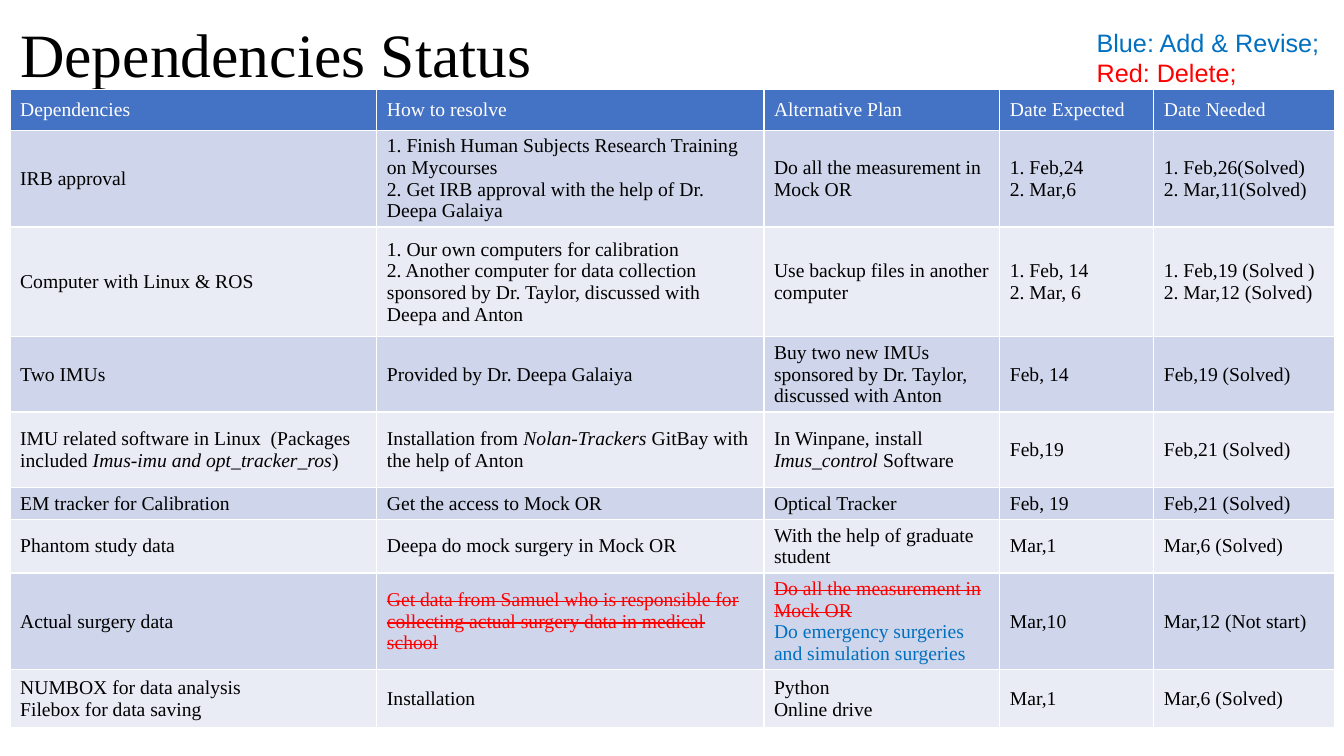
import pptx
import pptx.dml.color
import pptx.enum.text
import pptx.util

Pt = pptx.util.Pt
ANCHOR_MIDDLE = pptx.enum.text.MSO_ANCHOR.MIDDLE

# Content: a cell is a list of paragraphs, a paragraph a list of (text, style) runs
SERIF, SANS = "Times New Roman", "Arial"
BLACK, WHITE, RED, BLUE = "000000", "FFFFFF", "FF0000", "0070C0"
HEADER_FILL, BAND_FILLS = "4472C4", ("CFD5EA", "E9EBF5")

STYLES = {
    "plain": {"color": BLACK},
    "header": {"color": WHITE},
    "italic": {"color": BLACK, "italic": True},
    "deleted": {"color": RED, "strike": True},
    "added": {"color": BLUE},
}


def lines(*texts, style="plain"):
    return [[(text, style)] for text in texts]


TITLE = "Dependencies Status"
LEGEND = [("Blue: Add & Revise;", BLUE), ("Red: Delete;", RED)]
HEADINGS = ["Dependencies", "How to resolve", "Alternative Plan",
            "Date Expected", "Date Needed"]
DEPENDENCIES = [
    [lines("IRB approval"),
     lines("1. Finish Human Subjects Research Training on Mycourses",
           "2. Get IRB approval with the help of Dr. Deepa Galaiya"),
     lines("Do all the measurement in Mock OR"),
     lines("1. Feb,24", "2. Mar,6"),
     lines("1. Feb,26(Solved)", "2. Mar,11(Solved)")],
    [lines("Computer with Linux & ROS"),
     lines("1. Our own computers for calibration",
           "2. Another computer for data collection sponsored by Dr. Taylor, "
           "discussed with Deepa and Anton"),
     lines("Use backup files in another computer"),
     lines("1. Feb, 14", "2. Mar, 6"),
     lines("1. Feb,19 (Solved )", "2. Mar,12 (Solved)")],
    [lines("Two IMUs"),
     lines("Provided by Dr. Deepa Galaiya"),
     lines("Buy two new IMUs sponsored by Dr. Taylor, discussed with Anton"),
     lines("Feb, 14"),
     lines("Feb,19 (Solved)")],
    [[[("IMU related software in Linux  (Packages included ", "plain"),
       ("Imus-imu and opt_tracker_ros", "italic"), (")", "plain")]],
     [[("Installation from ", "plain"), ("Nolan-Trackers", "italic"),
       (" GitBay with the help of Anton", "plain")]],
     [[("In Winpane, install ", "plain"), ("Imus_control ", "italic"),
       ("Software", "plain")]],
     lines("Feb,19"),
     lines("Feb,21 (Solved)")],
    [lines("EM tracker for Calibration"),
     lines("Get the access to Mock OR"),
     lines("Optical Tracker"),
     lines("Feb, 19"),
     lines("Feb,21 (Solved)")],
    [lines("Phantom study data"),
     lines("Deepa do mock surgery in Mock OR"),
     lines("With the help of graduate student"),
     lines("Mar,1"),
     lines("Mar,6 (Solved)")],
    [lines("Actual surgery data"),
     lines("Get data from Samuel who is responsible for collecting actual "
           "surgery data in medical school", style="deleted"),
     lines("Do all the measurement in Mock OR", style="deleted")
     + lines("Do emergency surgeries and simulation surgeries", style="added"),
     lines("Mar,10"),
     lines("Mar,12 (Not start)")],
    [lines("NUMBOX for data analysis", "Filebox for data saving"),
     lines("Installation"),
     lines("Python", "Online drive"),
     lines("Mar,1"),
     lines("Mar,6 (Solved)")],
]

# Layout in points
SLIDE_WIDTH, SLIDE_HEIGHT = 960, 540
LEFT, TABLE_TOP = 7.2, 64
COLUMN_WIDTHS = [262, 276.5, 168.5, 110, 129]
ROW_HEIGHTS = [29, 69, 78.5, 53.5, 54, 22.5, 38.3, 69, 41.5]


def rgb(hex_color):
    return pptx.dml.color.RGBColor.from_string(hex_color)


def add_run(paragraph, text, font, size, color, italic=False, strike=False):
    run = paragraph.add_run()
    run.text = text
    run.font.name = font
    run.font.size = Pt(size)
    run.font.bold = False
    run.font.italic = italic
    run.font.color.rgb = rgb(color)
    if strike:
        run.font._element.set("strike", "sngStrike")


def paragraph_at(frame, index):
    return frame.paragraphs[0] if index == 0 else frame.add_paragraph()


def fill_cell(cell, paragraphs, fill):
    cell.fill.solid()
    cell.fill.fore_color.rgb = rgb(fill)
    cell.vertical_anchor = ANCHOR_MIDDLE
    for index, runs in enumerate(paragraphs):
        paragraph = paragraph_at(cell.text_frame, index)
        for text, style in runs:
            add_run(paragraph, text, SERIF, 14, **STYLES[style])


def add_title(slide):
    title = slide.shapes.title
    title.left, title.top = Pt(LEFT), Pt(-10.8)
    title.width, title.height = Pt(828), Pt(104.4)
    frame = title.text_frame
    frame.vertical_anchor = ANCHOR_MIDDLE
    frame.auto_size = pptx.enum.text.MSO_AUTO_SIZE.NONE
    paragraph = frame.paragraphs[0]
    paragraph.alignment = pptx.enum.text.PP_ALIGN.LEFT
    paragraph.line_spacing = 0.9
    add_run(paragraph, TITLE, SERIF, 44, BLACK)


def add_status_table(slide):
    status = slide.shapes.add_table(
        len(ROW_HEIGHTS), len(COLUMN_WIDTHS), Pt(LEFT), Pt(TABLE_TOP),
        Pt(sum(COLUMN_WIDTHS)), Pt(sum(ROW_HEIGHTS))).table
    for column, width in zip(status.columns, COLUMN_WIDTHS):
        column.width = Pt(width)
    for row, height in zip(status.rows, ROW_HEIGHTS):
        row.height = Pt(height)
    for column, heading in enumerate(HEADINGS):
        fill_cell(status.cell(0, column), lines(heading, style="header"), HEADER_FILL)
    for row, dependency in enumerate(DEPENDENCIES):
        for column, paragraphs in enumerate(dependency):
            fill_cell(status.cell(row + 1, column), paragraphs, BAND_FILLS[row % 2])


def add_legend(slide):
    frame = slide.shapes.add_textbox(Pt(776.2), Pt(16), Pt(176.5), Pt(51)).text_frame
    frame.word_wrap = False
    frame.auto_size = pptx.enum.text.MSO_AUTO_SIZE.SHAPE_TO_FIT_TEXT
    for index, (text, color) in enumerate(LEGEND):
        add_run(paragraph_at(frame, index), text, SANS, 18, color)


def main():
    deck = pptx.Presentation()
    deck.slide_width, deck.slide_height = Pt(SLIDE_WIDTH), Pt(SLIDE_HEIGHT)
    slide = deck.slides.add_slide(deck.slide_layouts.get_by_name("Title Only"))
    add_title(slide)
    add_status_table(slide)
    add_legend(slide)
    deck.save("out.pptx")


if __name__ == "__main__":
    main()
